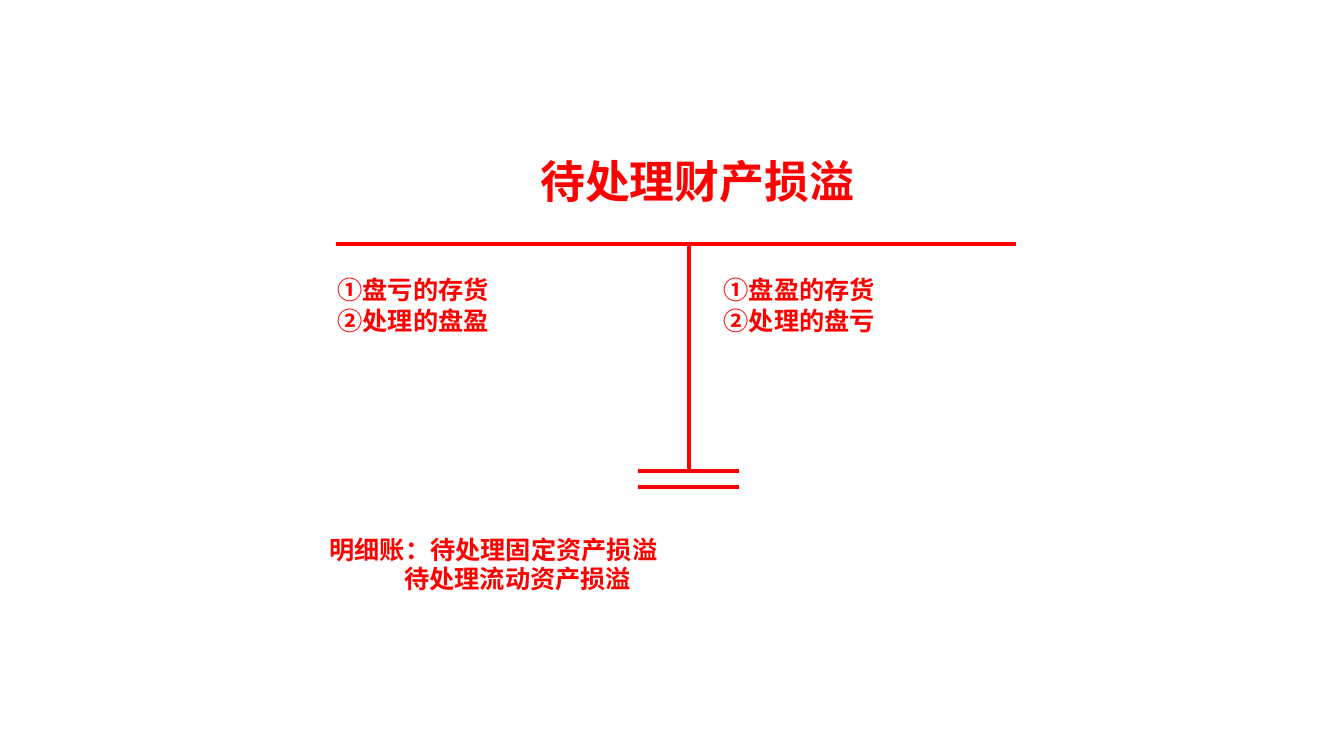
from lxml import etree
from pptx import Presentation
from pptx.dml.color import RGBColor
from pptx.enum.shapes import MSO_CONNECTOR
from pptx.oxml.ns import qn
from pptx.util import Inches, Pt

# Content
FONT = "Noto Sans CJK SC"
COLORS = {"ink": "FF0000"}
TITLE = "待处理财产损溢"
DEBIT = ["①盘亏的存货", "②处理的盘盈"]
CREDIT = ["①盘盈的存货", "②处理的盘亏"]
DETAIL = ["明细账：待处理固定资产损溢", "待处理流动资产损溢"]

# T-account geometry in inches
STEM_X, BAR_Y, FOOT_Y = 6.83, 2.42, 4.67
BAR_LEFT, BAR_RIGHT = 3.33, 10.08
FOOT_HALF, FOOT_GAP = 0.5, 0.16
ENTRY_Y, ENTRY_W, ENTRY_H = 2.67, 3.33, 1.28

prs = Presentation()
prs.slide_width, prs.slide_height = Inches(13.33), Inches(7.5)
slide = prs.slides.add_slide(prs.slide_layouts[6])


def add_text(lines, x, y, w, h, size=18, spacing=1.0, before=0, indent=0):
    """Add bold lines; spacing, before and indent apply after the first line."""
    box = slide.shapes.add_textbox(Inches(x), Inches(y), Inches(w), Inches(h))
    tf = box.text_frame
    tf.word_wrap = True
    for i, line in enumerate(lines):
        p = tf.paragraphs[0] if i == 0 else tf.add_paragraph()
        if i:
            p.line_spacing = spacing
            p.space_before = Pt(before)
            p._p.get_or_add_pPr().set("marL", str(Inches(indent)))
        r = p.add_run()
        r.text = line
        r.font.name = FONT
        r.font.size = Pt(size)
        r.font.bold = True
        r.font.color.rgb = RGBColor.from_string(COLORS["ink"])
        ea = etree.SubElement(r._r.get_or_add_rPr(), qn("a:ea"))
        ea.set("typeface", FONT)


def add_line(x1, y1, x2, y2):
    line = slide.shapes.add_connector(
        MSO_CONNECTOR.STRAIGHT, Inches(x1), Inches(y1), Inches(x2), Inches(y2))
    line.line.color.rgb = RGBColor.from_string(COLORS["ink"])
    line.line.width = Pt(3)
    etree.SubElement(line._element.spPr, qn("a:effectLst"))


# Account title
add_text([TITLE], 5.26, 1.48, 4.15, 1.72, size=32)

# Credit and debit entries
for entries, x in ((CREDIT, 7.08), (DEBIT, 3.25)):
    add_text(entries, x, ENTRY_Y, ENTRY_W, ENTRY_H, spacing=0.7, before=6.8)

# T-account: bar, stem and double foot
add_line(BAR_LEFT, BAR_Y, BAR_RIGHT, BAR_Y)
add_line(STEM_X, BAR_Y, STEM_X, FOOT_Y)
for y in (FOOT_Y, FOOT_Y + FOOT_GAP):
    add_line(STEM_X - FOOT_HALF, y, STEM_X + FOOT_HALF, y)

# Detail accounts
add_text(DETAIL, 3.17, 5.25, 7.08, 0.73, spacing=0.5, before=8.4, indent=0.74)

prs.save("out.pptx")
